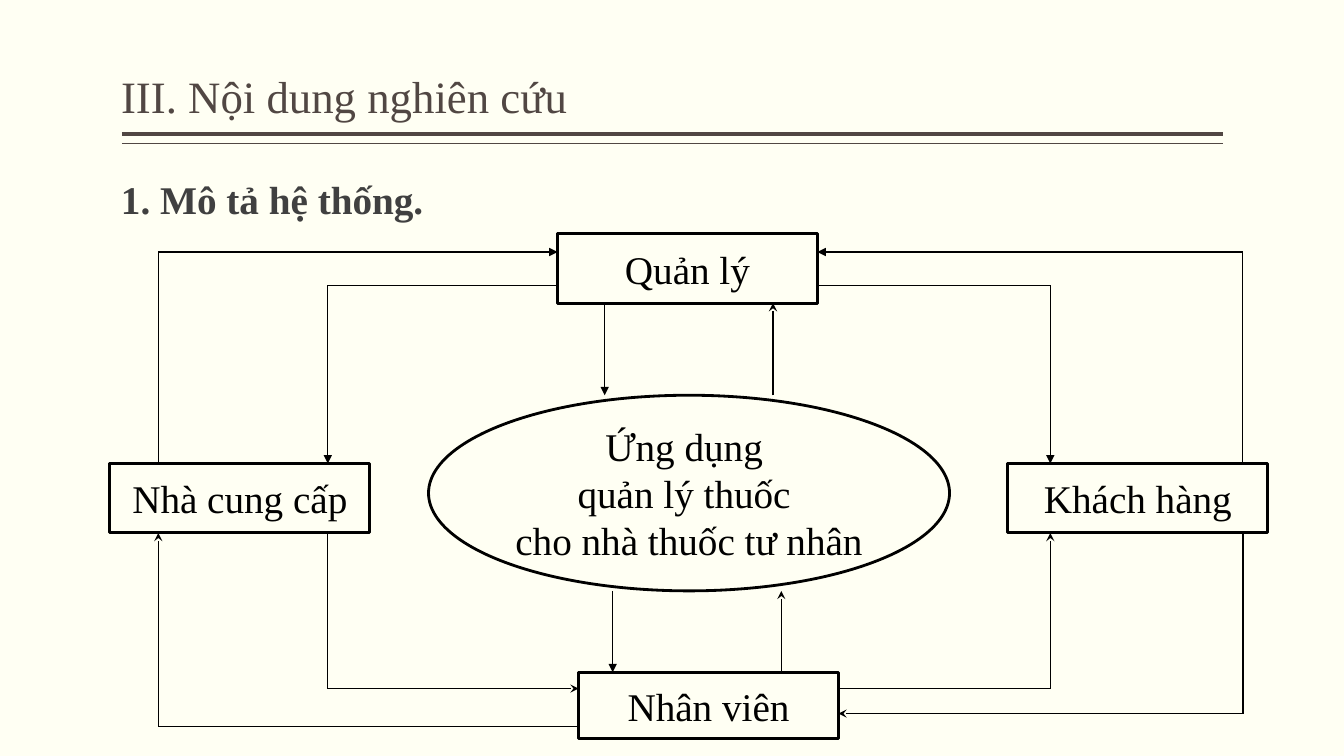
from itertools import pairwise
from lxml import etree
from pptx import Presentation
from pptx.dml.color import RGBColor
from pptx.enum.shapes import MSO_CONNECTOR, MSO_SHAPE
from pptx.enum.text import MSO_ANCHOR, PP_ALIGN
from pptx.oxml.ns import qn
from pptx.util import Cm, Pt

RECT, OVAL = MSO_SHAPE.RECTANGLE, MSO_SHAPE.OVAL
LINE = MSO_CONNECTOR.STRAIGHT
TOP, MIDDLE = MSO_ANCHOR.TOP, MSO_ANCHOR.MIDDLE
LEFT, CENTER = PP_ALIGN.LEFT, PP_ALIGN.CENTER
CREAM = RGBColor(0xFF, 0xFF, 0xF3)
BROWN = RGBColor(0x51, 0x47, 0x43)
GREY = RGBColor(0x40, 0x40, 0x40)
BLACK = RGBColor(0, 0, 0)
FONT = "Times New Roman"

# Content, lengths in cm
TITLE = "III. Nội dung nghiên cứu"
HEADING = "1. Mô tả hệ thống."
WIDE, HIGH = 6.55, 1.75
NODES = {
    "boss": (RECT, 14.05, 5.89, WIDE, HIGH, "Quản lý"),
    "staff": (RECT, 14.58, 16.94, WIDE, 1.68, "Nhân viên"),
    "vendor": (RECT, 2.77, 11.68, WIDE, HIGH, "Nhà cung cấp"),
    "client": (RECT, 25.4, 11.68, WIDE, HIGH, "Khách hàng"),
    "app": (OVAL, 10.8, 9.96, 13.13, 4.93,
            "Ứng dụng \nquản lý thuốc \ncho nhà thuốc tư nhân"),
}
RULES = [(3.38, 3), (3.61, 0.96)]


def edges(name):
    _, x, y, w, h, _ = NODES[name]
    return x, y, x + w, y + h


# Flows: the arrowhead sits at the last point
boss_l, _, boss_r, boss_b = edges("boss")
staff_l, staff_t, staff_r, _ = edges("staff")
_, side_t, _, side_b = edges("vendor")
_, app_t, _, app_b = edges("app")
OUT_L, IN_L, IN_R, OUT_R = 3.99, 8.26, 26.47, 31.32
HIGH_Y, LOW_Y, STAFF_Y = 6.35, 7.19, 17.35
FLOWS = [
    ([(OUT_L, side_t), (OUT_L, HIGH_Y), (boss_l, HIGH_Y)], "triangle", 0.75),
    ([(boss_l, LOW_Y), (IN_L, LOW_Y), (IN_L, side_t)], "triangle", 0.75),
    ([(OUT_R, side_t), (OUT_R, HIGH_Y), (boss_r, HIGH_Y)], "triangle", 0.75),
    ([(boss_r, LOW_Y), (IN_R, LOW_Y), (IN_R, side_t)], "triangle", 0.75),
    ([(staff_l, 18.31), (OUT_L, 18.31), (OUT_L, side_b)], "stealth", 1),
    ([(IN_L, side_b), (IN_L, STAFF_Y), (staff_l, STAFF_Y)], "stealth", 1),
    ([(staff_r, STAFF_Y), (IN_R, STAFF_Y), (IN_R, side_b)], "stealth", 1),
    ([(OUT_R, side_b), (OUT_R, 17.98), (staff_r, 17.98)], "stealth", 1),
    ([(15.24, boss_b), (15.24, app_t)], "triangle", 1),
    ([(19.48, app_t), (19.48, boss_b)], "stealth", 1),
    ([(15.44, app_b), (15.44, staff_t)], "triangle", 1),
    ([(19.69, staff_t), (19.69, app_b)], "stealth", 0.75),
]

deck = Presentation()
deck.slide_width, deck.slide_height = Cm(33.87), Cm(19.05)
slide = deck.slides.add_slide(deck.slide_layouts[5])
shapes = slide.shapes
slide.background.fill.solid()
slide.background.fill.fore_color.rgb = CREAM


def write(shape, text, size, color, align, anchor, bold=False):
    frame = shape.text_frame
    frame.text = text
    frame.vertical_anchor = anchor
    for para in frame.paragraphs:
        para.alignment = align
        for run in para.runs:
            font = run.font
            font.name, font.size, font.bold = FONT, Pt(size), bold
            font.color.rgb = color


def place(shape, x, y, w, h, inset):
    shape.left, shape.top, shape.width, shape.height = map(Cm, (x, y, w, h))
    frame = shape.text_frame
    frame.word_wrap = True
    frame.margin_left = frame.margin_right = frame.margin_bottom = 0
    frame.margin_top = Cm(inset)


def draw(start, end, color, width, head=None):
    line = shapes.add_connector(LINE, *map(Cm, start + end))
    line.line.color.rgb = color
    line.line.width = Pt(width)
    if head:
        tip = etree.SubElement(line.line._get_or_add_ln(), qn("a:tailEnd"))
        tip.set("type", head)
    etree.SubElement(line._element.spPr, qn("a:effectLst"))


# Title, rules and heading
title = shapes.title
place(title, 3.05, 1.7, 14.81, 1.42, 0.03)
write(title, TITLE, 32, BROWN, LEFT, TOP)
for y, width in RULES:
    draw((3.07, y), (30.81, y), BROWN, width)
head = shapes.add_textbox(0, 0, 0, 0)
place(head, 3.05, 3.86, 28.93, 1.75, 0.56)
write(head, HEADING, 28, GREY, LEFT, TOP, bold=True)

# Nodes
for kind, x, y, w, h, text in NODES.values():
    node = shapes.add_shape(kind, Cm(x), Cm(y), Cm(w), Cm(h))
    node.shadow.inherit = False
    node.fill.background()
    node.line.color.rgb = BLACK
    node.line.width = Pt(2)
    node.text_frame.word_wrap = kind == RECT
    write(node, text, 28, BLACK, CENTER, MIDDLE)

# Flow lines
for points, tip, width in FLOWS:
    for start, end in pairwise(points):
        last = end == points[-1]
        draw(start, end, BLACK, width, tip if last else None)

deck.save("out.pptx")
